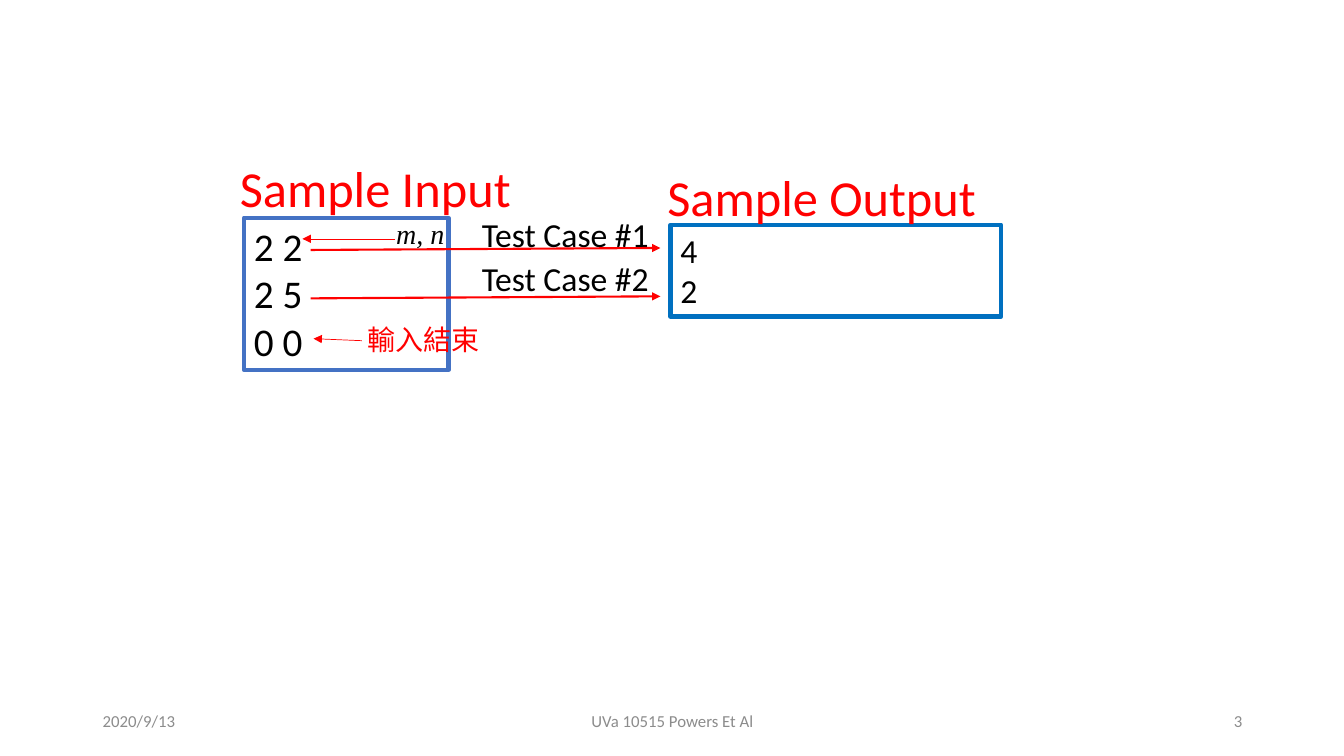
from lxml.etree import SubElement
from pptx import Presentation
from pptx.dml.color import RGBColor
from pptx.enum.shapes import MSO_CONNECTOR, MSO_SHAPE
from pptx.enum.text import MSO_ANCHOR, MSO_AUTO_SIZE, PP_ALIGN
from pptx.oxml.ns import qn
from pptx.util import Inches, Pt

BLACK = RGBColor(0x00, 0x00, 0x00)
RED = RGBColor(0xFF, 0x00, 0x00)
GREY = RGBColor(0x8C, 0x8C, 0x8C)
INPUT_BLUE = RGBColor(0x44, 0x72, 0xC4)
OUTPUT_BLUE = RGBColor(0x00, 0x70, 0xC0)
CJK_FONT = "Noto Sans CJK SC"


def write_lines(frame, lines, size, color, font="Calibri", align=PP_ALIGN.LEFT, italic=False):
    frame.text = "\n".join(lines)
    for paragraph in frame.paragraphs:
        paragraph.alignment = align
        paragraph.font.size = Pt(size)
        paragraph.font.color.rgb = color
        paragraph.font.name = font
        paragraph.font.italic = italic
        if font == CJK_FONT:
            SubElement(paragraph.font._element, qn("a:ea"), typeface=font)


def add_label(slide, text, left, top, width, height, size, color, **style):
    label = slide.shapes.add_textbox(Inches(left), Inches(top), Inches(width), Inches(height))
    label.text_frame.word_wrap = False
    label.text_frame.auto_size = MSO_AUTO_SIZE.SHAPE_TO_FIT_TEXT
    write_lines(label.text_frame, [text], size, color, **style)


def add_footer(slide, text, left, width, align):
    footer = slide.shapes.add_textbox(Inches(left), Inches(6.95), Inches(width), Inches(0.4))
    footer.text_frame.word_wrap = True
    footer.text_frame.vertical_anchor = MSO_ANCHOR.MIDDLE
    write_lines(footer.text_frame, [text], 12, GREY, align=align)


def add_sample_box(slide, lines, left, top, width, height, size, border):
    box = slide.shapes.add_shape(
        MSO_SHAPE.RECTANGLE, Inches(left), Inches(top), Inches(width), Inches(height))
    box.shadow.inherit = False
    box.fill.background()
    box.line.color.rgb = border
    box.line.width = Pt(3)
    box.text_frame.word_wrap = True
    box.text_frame.vertical_anchor = MSO_ANCHOR.TOP
    write_lines(box.text_frame, lines, size, BLACK)


def add_arrow(slide, start, end, weight):
    arrow = slide.shapes.add_connector(
        MSO_CONNECTOR.STRAIGHT, *(Inches(value) for value in start + end))
    arrow.line.color.rgb = RED
    arrow.line.width = Pt(weight)
    SubElement(arrow.line._get_or_add_ln(), qn("a:tailEnd"), type="triangle")
    SubElement(arrow._element.spPr, qn("a:effectLst"))


def main():
    deck = Presentation()
    deck.slide_width, deck.slide_height = Inches(13.33), Inches(7.5)
    slide = deck.slides.add_slide(deck.slide_layouts[6])

    add_sample_box(slide, ["4", "2"], 6.65, 2.23, 3.28, 0.91, 24, OUTPUT_BLUE)
    add_label(slide, "Sample Input", 2.28, 1.51, 3.1, 0.71, 36, RED)
    add_label(slide, "Sample Output", 6.52, 1.6, 3.4, 0.71, 36, RED)
    add_label(slide, "m, n", 3.83, 2.1, 0.69, 0.44, 20, BLACK,
              font="Times New Roman", italic=True)
    add_arrow(slide, (3.92, 2.37), (3, 2.37), 0.5)
    add_sample_box(slide, ["2 2", "2 5", "0 0"], 2.42, 2.16, 2.03, 1.51, 28, INPUT_BLUE)
    add_arrow(slide, (3.59, 3.38), (3.11, 3.36), 0.5)
    add_label(slide, "輸入結束", 3.55, 3.15, 1.71, 0.44, 20, RED, font=CJK_FONT)

    for case, (label_top, arrow_y) in enumerate([(2.07, 2.48), (2.51, 2.96)], 1):
        add_label(slide, f"Test Case #{case}", 4.68, label_top, 1.88, 0.5, 24, BLACK)
        add_arrow(slide, (3.08, arrow_y), (6.55, arrow_y - 0.02), 1.5)

    add_footer(slide, "2020/9/13", 0.92, 3, PP_ALIGN.LEFT)
    add_footer(slide, "UVa 10515 Powers Et Al", 4.42, 4.5, PP_ALIGN.CENTER)
    add_footer(slide, "3", 9.42, 3, PP_ALIGN.RIGHT)

    deck.save("out.pptx")


if __name__ == "__main__":
    main()
